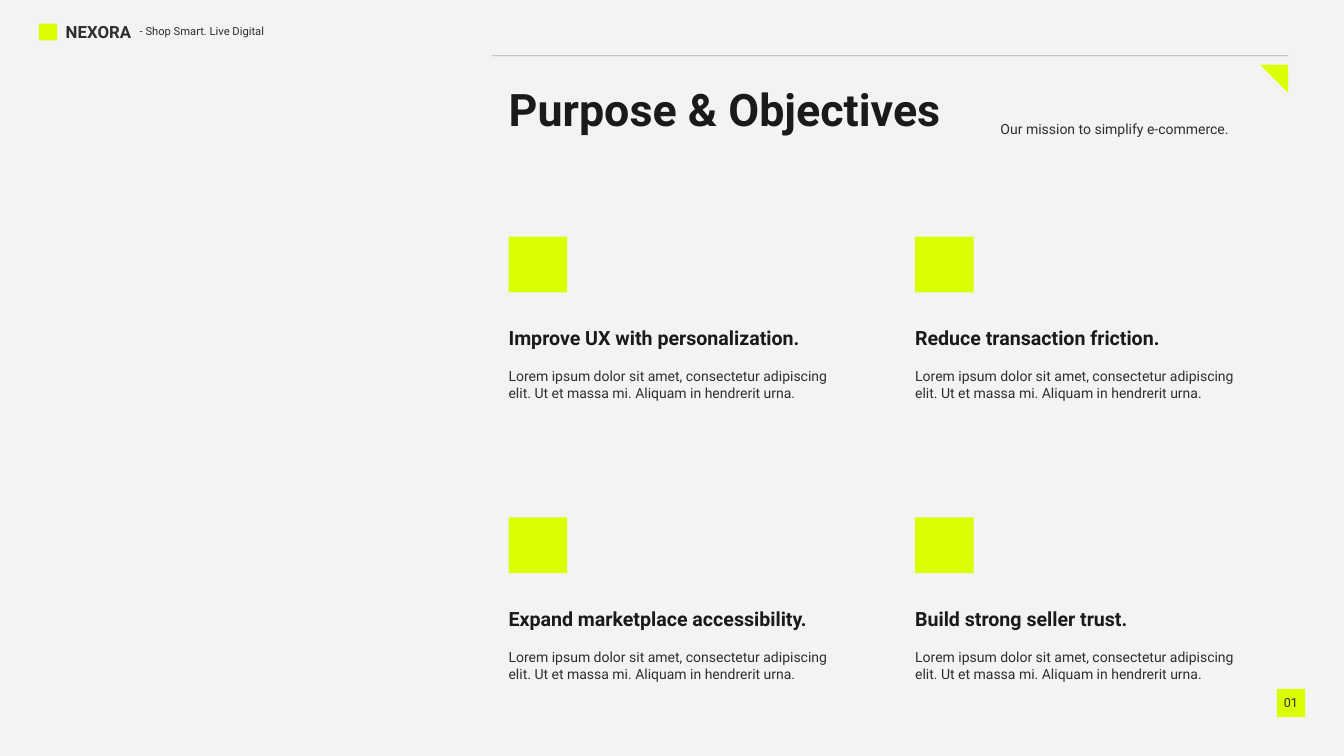
from lxml import etree
from pptx import Presentation
from pptx.dml.color import RGBColor
from pptx.enum.shapes import MSO_CONNECTOR as Connector, MSO_SHAPE as Shape
from pptx.enum.text import MSO_ANCHOR as Anchor, MSO_AUTO_SIZE as AutoSize, PP_ALIGN as Align
from pptx.oxml.ns import qn
from pptx.util import Inches, Pt

LIME, INK, GREY, PAPER = "D9FF00", "1A1A1A", "2E2E2E", "F3F3F3"
FORMATS = {
    "title": {"size": Pt(48), "bold": True, "color": INK},
    "heading": {"size": Pt(21), "bold": True, "color": INK},
    "body": {"size": Pt(15), "bold": False, "color": GREY},
    "brand": {"size": Pt(18), "bold": True, "color": GREY},
    "tagline": {"size": Pt(12), "bold": False, "color": GREY},
    "number": {"size": Pt(13.5), "bold": False, "color": GREY},
}
COLUMNS = (7.47, 13.52)
FIRST_ROW, ROW_STEP = 3.52, 4.18
OBJECTIVES = (
    "Improve UX with personalization.",
    "Reduce transaction friction.",
    "Expand marketplace accessibility.",
    "Build strong seller trust.",
)
DESCRIPTION = (
    "Lorem ipsum dolor sit amet, consectetur adipiscing",
    "elit. Ut et massa mi. Aliquam in hendrerit urna.",
)


def color(value):
    return RGBColor.from_string(value)


def format_paragraph(paragraph, style):
    paragraph.font.name = "Roboto"
    for name, value in FORMATS[style].items():
        if name == "color":
            paragraph.font.color.rgb = color(value)
        else:
            setattr(paragraph.font, name, value)


def fill_text(shape, lines, style, align=Align.LEFT, anchor=Anchor.TOP):
    frame = shape.text_frame
    frame.text = "\n".join(lines)
    frame.word_wrap = True
    frame.auto_size = AutoSize.NONE
    frame.vertical_anchor = anchor
    for paragraph in frame.paragraphs:
        paragraph.alignment = align
        format_paragraph(paragraph, style)


def add_text(slide, left, top, width, height, lines, style):
    box = slide.shapes.add_textbox(*map(Inches, (left, top, width, height)))
    fill_text(box, lines, style)


def add_block(slide, kind, left, top, width, height):
    shape = slide.shapes.add_shape(kind, *map(Inches, (left, top, width, height)))
    shape.shadow.inherit = False
    shape.fill.solid()
    shape.fill.fore_color.rgb = color(LIME)
    shape.line.fill.background()
    return shape


def add_rule(slide, left, right, top):
    rule = slide.shapes.add_connector(
        Connector.STRAIGHT, Inches(left), Inches(top), Inches(right), Inches(top))
    rule.line.width = Pt(0.75)
    rule.line.color.rgb = color("000000")
    # 30 % opacity and no theme shadow
    properties = rule._element.spPr
    rgb = properties.find(".//" + qn("a:srgbClr"))
    etree.SubElement(rgb, qn("a:alpha")).set("val", "30000")
    etree.SubElement(properties, qn("a:effectLst"))


def set_title(slide, left, top, width, height, text):
    title = slide.shapes.title
    title.left, title.top, title.width, title.height = map(
        Inches, (left, top, width, height))
    fill_text(title, [text], "title")


def add_objective(slide, left, top, heading):
    add_block(slide, Shape.RECTANGLE, left + 0.1, top, 0.87, 0.83)
    add_text(slide, left, top + 1.28, 5.07, 0.45, [heading], "heading")
    add_text(slide, left, top + 1.9, 5.66, 0.61, DESCRIPTION, "body")


def add_page_number(slide, text):
    badge = add_block(slide, Shape.RECTANGLE, 19, 10.25, 0.42, 0.42)
    fill_text(badge, [text], "number", Align.CENTER, Anchor.MIDDLE)
    frame = badge.text_frame
    for side in ("left", "right", "top", "bottom"):
        setattr(frame, f"margin_{side}", 0)


def main():
    presentation = Presentation()
    presentation.slide_width = Inches(20)
    presentation.slide_height = Inches(11.25)
    slide = presentation.slides.add_slide(presentation.slide_layouts[5])
    slide.background.fill.solid()
    slide.background.fill.fore_color.rgb = color(PAPER)

    # Brand line
    add_block(slide, Shape.RECTANGLE, 0.58, 0.35, 0.27, 0.25)
    add_text(slide, 0.88, 0.27, 1.27, 0.4, ["NEXORA"], "brand")
    add_text(slide, 1.98, 0.32, 2.18, 0.3, ["- Shop Smart. Live Digital"], "tagline")

    # Header
    add_rule(slide, 7.32, 19.17, 0.83)
    corner = add_block(slide, Shape.RIGHT_TRIANGLE, 18.75, 0.96, 0.42, 0.42)
    corner.rotation = 180
    set_title(slide, 7.47, 1.17, 7.33, 0.91, "Purpose & Objectives")
    add_text(slide, 14.79, 1.75, 3.87, 0.35,
             ["Our mission to simplify e-commerce."], "body")

    # Objectives in a two-by-two grid
    for index, heading in enumerate(OBJECTIVES):
        row, column = divmod(index, len(COLUMNS))
        add_objective(slide, COLUMNS[column], FIRST_ROW + row * ROW_STEP, heading)

    # Footer
    add_page_number(slide, "01")
    presentation.save("out.pptx")


if __name__ == "__main__":
    main()
